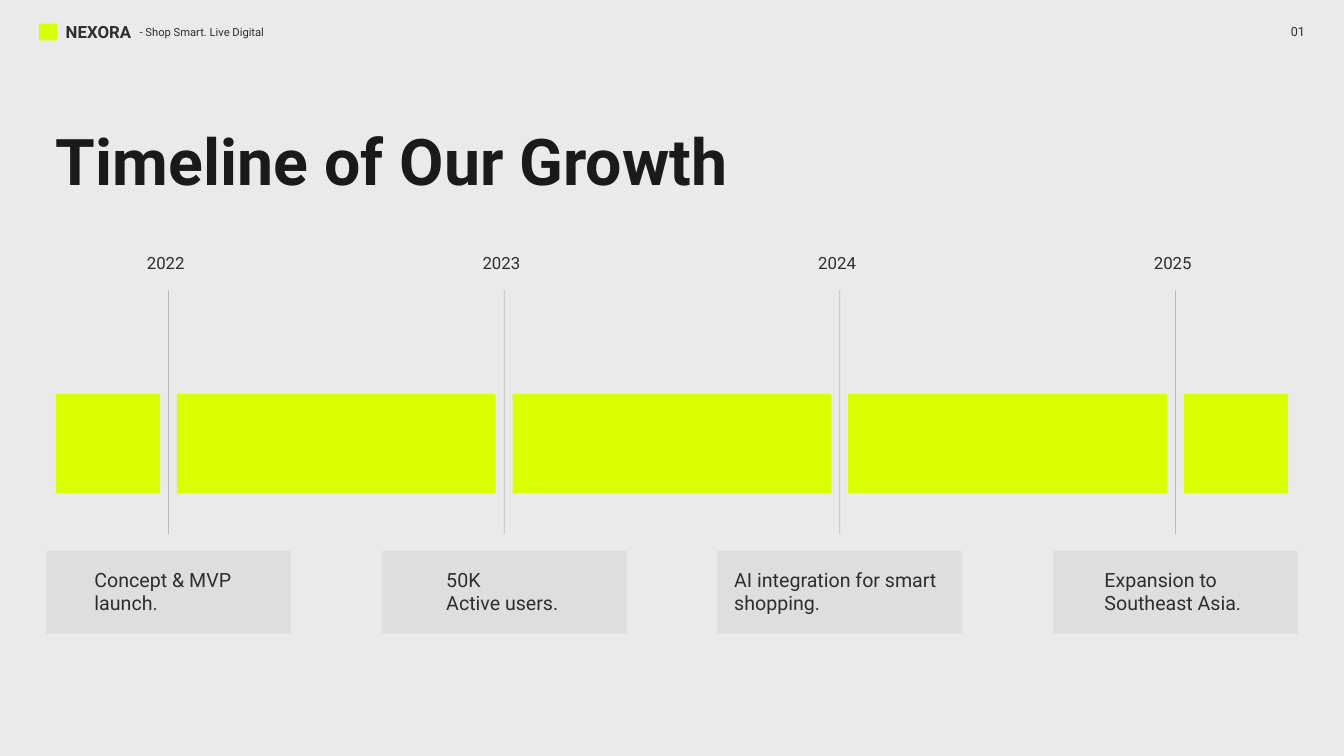
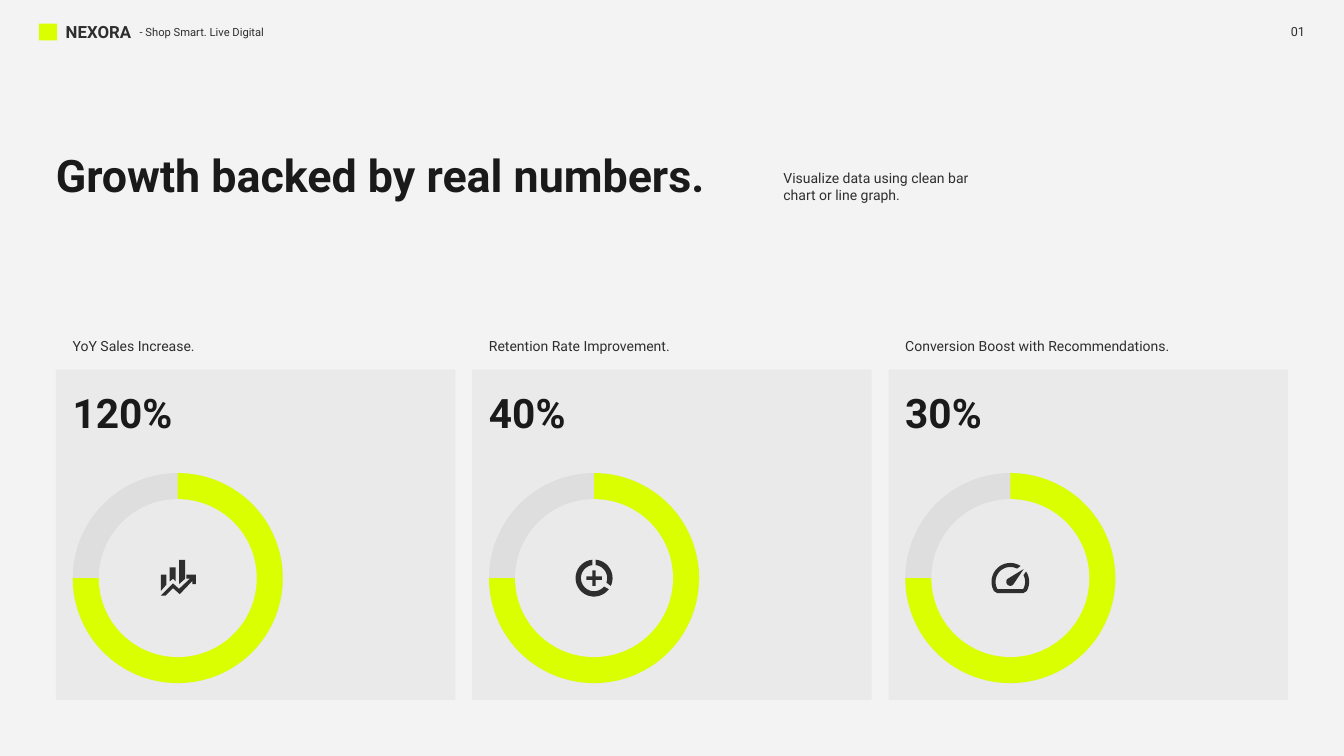
from math import cos, radians, sin

from lxml import etree
from pptx import Presentation, util as u
from pptx.dml.color import RGBColor
from pptx.enum import shapes, text
from pptx.oxml.ns import qn

COLS, ROWS = 80, 45
CELL = u.Inches(0.25)
MARGIN = 3.33
CONTENT_W = COLS - 2 * MARGIN
INSET = 0.4
FONT = "Roboto"

LIME = RGBColor(0xD9, 0xFF, 0x00)
INK = RGBColor(0x1A, 0x1A, 0x1A)
CHARCOAL = RGBColor(0x2E, 0x2E, 0x2E)
BLACK = RGBColor(0x00, 0x00, 0x00)
GREY = RGBColor(0xEA, 0xEA, 0xEA)
PALE = RGBColor(0xF3, 0xF3, 0xF3)

MILESTONES = [
    ("2022", ["Concept & MVP", "launch."], 11.28),
    ("2023", ["50K", "Active users."], 9.36),
    ("2024", ["AI integration for smart", "shopping."], 15.04),
    ("2025", ["Expansion to", "Southeast Asia."], 10.92),
]


def cells(*values):
    """Turn grid cells into slide lengths."""
    return [u.Emu(round(v * CELL)) for v in values]


def set_alpha(sp, percent):
    """Make the colours of a shape or line partly transparent."""
    for clr in sp.element.iter(qn("a:srgbClr")):
        etree.SubElement(clr, qn("a:alpha"), val=str(percent * 1000))


def paint(sp, color, alpha=None):
    """Give a shape a plain fill with no line or shadow."""
    sp.shadow.inherit = False
    sp.fill.solid()
    sp.fill.fore_color.rgb = color
    sp.line.fill.background()
    if alpha:
        set_alpha(sp, alpha)


def add_block(s, x, y, w, h, color, alpha=None, kind=shapes.MSO_SHAPE.RECTANGLE):
    """Add a filled preset shape."""
    sp = s.shapes.add_shape(kind, *cells(x, y, w, h))
    paint(sp, color, alpha)
    return sp


def add_text(s, lines, x, y, w, h, size=15, color=CHARCOAL, bold=False, wrap=False):
    """Add a text box with one paragraph per line."""
    tf = s.shapes.add_textbox(*cells(x, y, w, h)).text_frame
    tf.word_wrap = wrap
    tf.auto_size = text.MSO_AUTO_SIZE.SHAPE_TO_FIT_TEXT
    for i, line in enumerate(lines):
        p = tf.paragraphs[0] if i == 0 else tf.add_paragraph()
        r = p.add_run()
        r.text = line
        r.font.name, r.font.size = FONT, u.Pt(size)
        r.font.bold, r.font.color.rgb = bold, color


def add_rule(s, x, top, bottom):
    """Add a thin vertical line."""
    ln = s.shapes.add_connector(shapes.MSO_CONNECTOR.STRAIGHT, *cells(x, top, x, bottom))
    ln.line.color.rgb = BLACK
    ln.line.width = u.Pt(0.75)
    set_alpha(ln, 20)
    etree.SubElement(ln.element.spPr, qn("a:effectLst"))


def add_icon(s, cx, cy, contours):
    """Draw closed contours around a centre point."""
    first, *rest = [[cells(cx + x, cy + y) for x, y in c] for c in contours]
    fb = s.shapes.build_freeform(*first[0], scale=1.0)
    fb.add_line_segments(first[1:], close=True)
    for points in rest:
        fb.move_to(*points[0])
        fb.add_line_segments(points[1:], close=True)
    paint(fb.convert_to_shape(), CHARCOAL)


def arc(radius, start, end, steps=24):
    """List points along an arc, with degrees clockwise from the right."""
    angles = [radians(start + (end - start) * i / steps) for i in range(steps + 1)]
    return [(radius * cos(a), radius * sin(a)) for a in angles]


def column(left, right, top, left_foot, right_foot):
    """Outline a bar with a slanted foot."""
    return [(left, top), (right, top), (right, right_foot), (left, left_foot)]


def growth_icon():
    """Outline three bars above a rising arrow."""
    arrow = [(-1, 1.04), (-0.28, 0.32), (0.08, 0.64), (0.72, 0.04), (0.52, 0.04),
             (0.52, -0.2), (1.08, -0.2), (1.08, 0.36), (0.88, 0.36), (0.88, 0.16),
             (0.12, 0.96), (-0.28, 0.6), (-0.72, 1.04)]
    middle = [(-0.48, 0.2), (-0.48, -0.64), (-0.12, -0.64), (-0.12, 0.2), (-0.28, 0.04)]
    return [column(-1, -0.68, -0.2, 0.76, 0.4), middle,
            column(0.08, 0.44, -1.08, 0.36, 0.04), arrow]


def retention_icon():
    """Outline a split ring around a plus sign."""
    outer, inner, arm, half = 1.1, 0.78, 0.46, 0.1
    plus = [(-half, -arm), (half, -arm), (half, -half), (arm, -half), (arm, half),
            (half, half), (half, arm), (-half, arm), (-half, half), (-arm, half),
            (-arm, -half), (-half, -half)]
    return [arc(outer, 265, 37) + arc(inner, 40, 263),
            arc(outer, 25, -85) + arc(inner, -83, 20), plus]


def gauge_icon():
    """Outline a dial and its needle."""
    outer, inner, drop = 1.12, 0.88, 0.22
    dial = (arc(inner, -63, -210) + arc(inner, 30, -27) + arc(outer, -33, 30)
            + [(0.76, 0.68), (-0.76, 0.68)] + arc(outer, 150, 303))
    needle = arc(0.24, 225, 45) + [(0.8, -0.76)]
    return [[(x, y + drop) for x, y in c] for c in (dial, needle)]


METRICS = [
    ("YoY Sales Increase.", "120%", growth_icon),
    ("Retention Rate Improvement.", "40%", retention_icon),
    ("Conversion Boost with Recommendations.", "30%", gauge_icon),
]


def add_header(s):
    """Add the brand mark, tagline and page number."""
    add_block(s, 2.32, 1.4, 1.08, 1, LIME)
    add_text(s, ["NEXORA"], 3.52, 1.08, 5, 1.64, size=18, bold=True)
    add_text(s, ["- Shop Smart. Live Digital"], 7.92, 1.28, 8.64, 1.24, size=12)
    add_text(s, ["01"], 76.44, 1.24, 1.64, 1.36, size=13.5)


def add_title(s, title, y, w, h, size):
    """Add the slide title at the left margin."""
    add_text(s, [title], MARGIN - INSET, y, w, h, size=size, color=INK, bold=True)


def new_slide(prs, background):
    """Add a blank slide with its background and header."""
    s = prs.slides.add_slide(prs.slide_layouts[6])
    s.background.fill.solid()
    s.background.fill.fore_color.rgb = background
    add_header(s)
    return s


def add_milestone(s, axis, y, year, note, note_w):
    """Add a year, its axis line and its note."""
    add_text(s, [year], axis - 1.68, y, 3.36, 1.64, size=18)
    add_rule(s, axis, y + 2.44, y + 16.96)
    add_block(s, axis - 7.29, y + 17.96, 14.58, 4.92, BLACK, alpha=5)
    add_text(s, note, axis + 0.84 - note_w / 2, y + 18.76, note_w, 3.24, size=21, wrap=True)


def add_timeline(s, x, y, w):
    """Add the band split at each year and the milestones."""
    lead, gap = 6.7, 0.5
    pitch = (w - 2 * lead) / (len(MILESTONES) - 1)
    axes = [x + lead + pitch * i for i in range(len(MILESTONES))]
    starts = [x] + [a + gap for a in axes]
    ends = [a - gap for a in axes] + [x + w]
    for start, end in zip(starts, ends):
        add_block(s, start, y + 8.6, end - start, 5.92, LIME)
    for axis, milestone in zip(axes, MILESTONES):
        add_milestone(s, axis, y, *milestone)


def add_metric(s, x, y, w, h, label, value, icon):
    """Add a card with its label, value, ring and icon."""
    ring, hole, pad = 12.5, 9.4, 1
    ring_x, ring_y = x + pad, y + 6.16
    rim = (ring - hole) / 2
    add_block(s, x, y, w, h, GREY)
    add_text(s, [label], x + pad - INSET, y - 2.12, w - pad, 1.44)
    add_text(s, [value], x + pad - INSET, y + 0.92, 7.88, 3.44,
             size=43.5, color=INK, bold=True)
    oval = shapes.MSO_SHAPE.OVAL
    add_block(s, ring_x, ring_y, ring, ring, BLACK, alpha=5, kind=oval)
    pie = add_block(s, ring_x, ring_y, ring, ring, LIME, kind=shapes.MSO_SHAPE.PIE)
    pie.rotation = 270
    add_block(s, ring_x + rim, ring_y + rim, hole, hole, GREY, kind=oval)
    add_icon(s, ring_x + ring / 2, ring_y + ring / 2, icon())


def timeline_slide(prs):
    """Build the growth timeline."""
    s = new_slide(prs, GREY)
    add_title(s, "Timeline of Our Growth", 7.04, 43.64, 5.24, 69)
    add_timeline(s, MARGIN, 14.84, CONTENT_W)


def metrics_slide(prs):
    """Build the three metric cards."""
    s = new_slide(prs, PALE)
    add_title(s, "Growth backed by real numbers.", 8.6, 43.08, 3.76, 48)
    add_text(s, ["Visualize data using clean bar", "chart or line graph."],
             46.24, 9.88, 13.88, 2.44, wrap=True)
    gap = 1
    card_w = (CONTENT_W - gap * (len(METRICS) - 1)) / len(METRICS)
    for i, metric in enumerate(METRICS):
        add_metric(s, MARGIN + i * (card_w + gap), 22, card_w, 19.67, *metric)


def main():
    """Build and save the deck."""
    prs = Presentation()
    prs.slide_width, prs.slide_height = cells(COLS, ROWS)
    timeline_slide(prs)
    metrics_slide(prs)
    prs.save("out.pptx")


if __name__ == "__main__":
    main()
